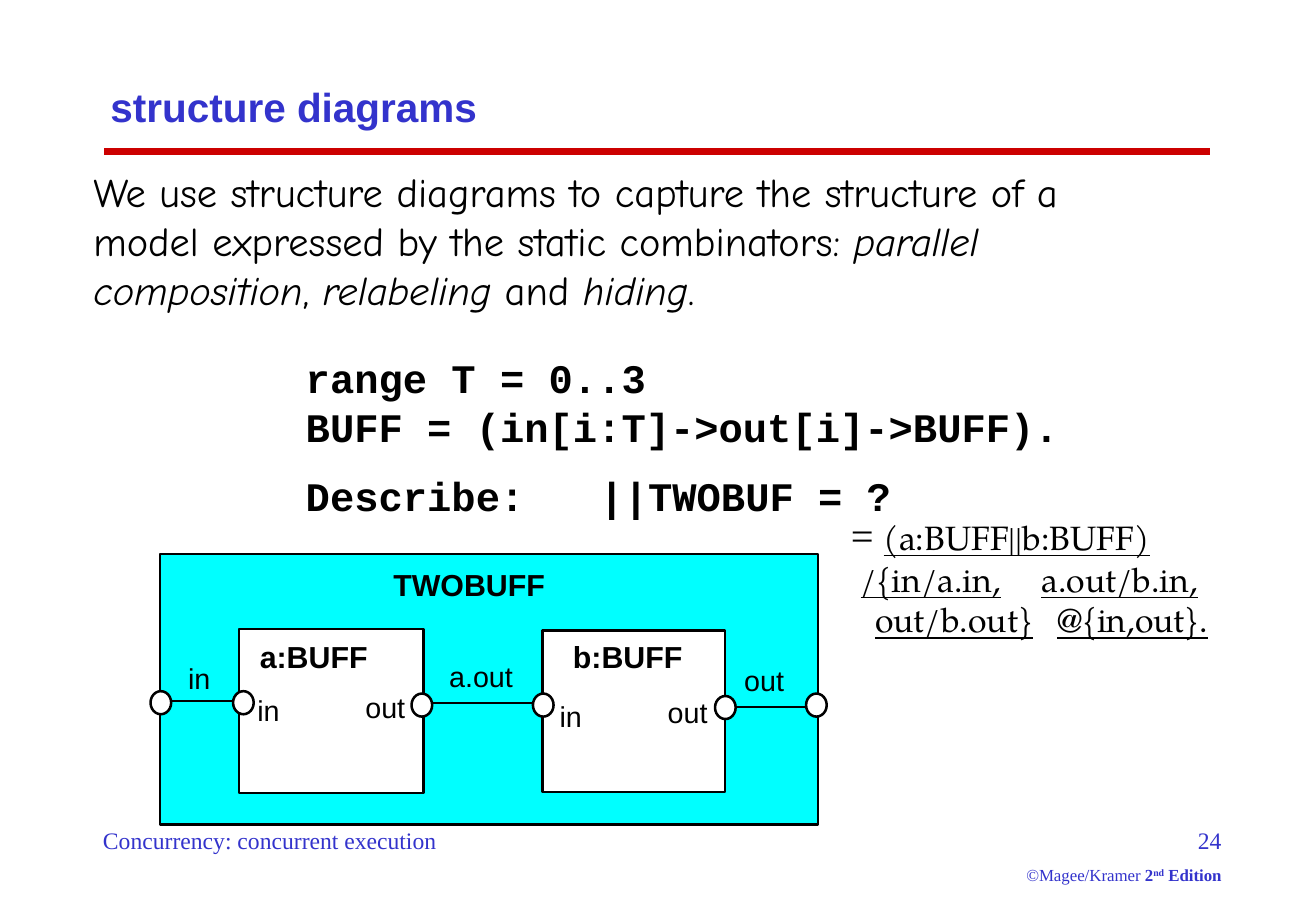
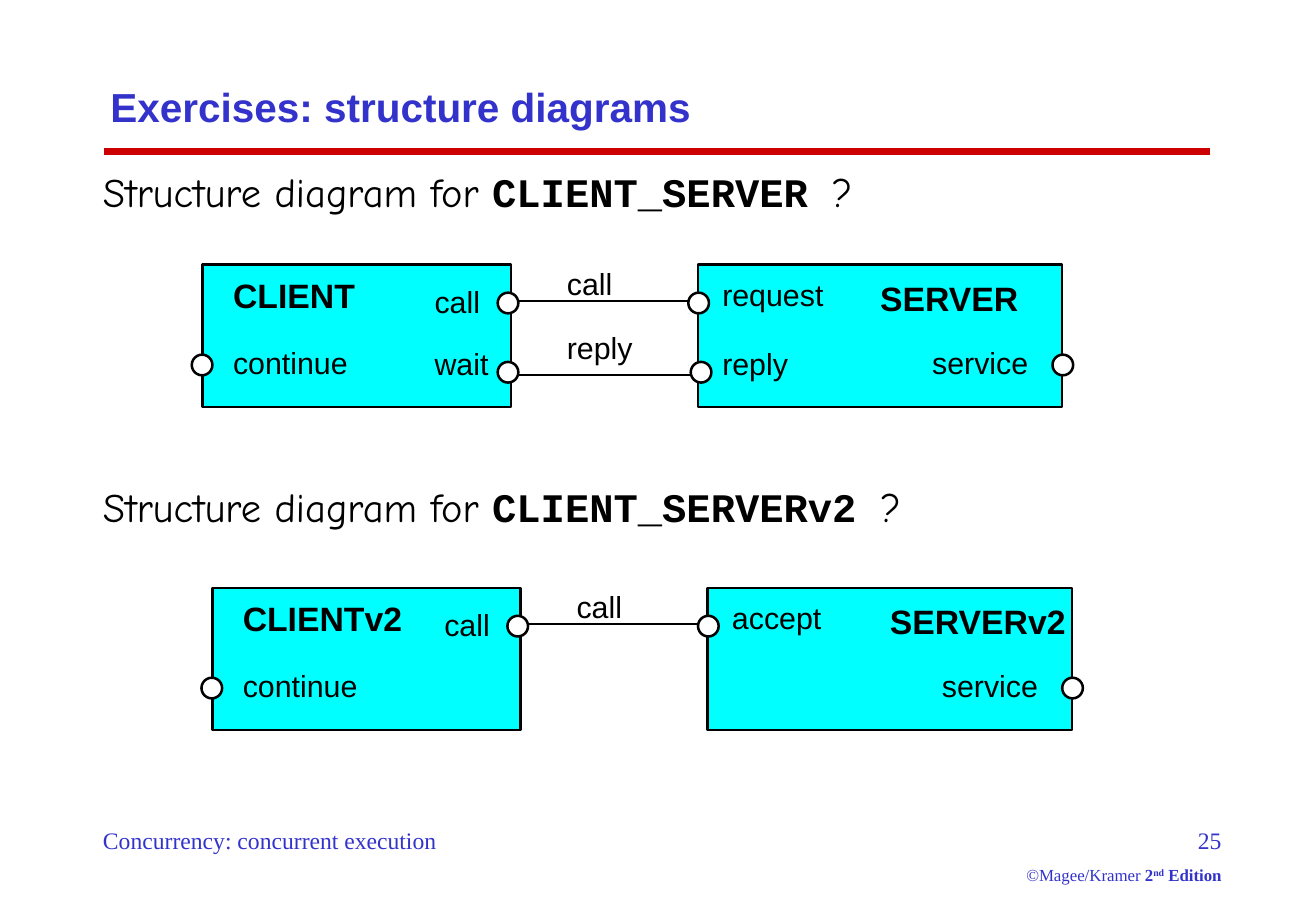
from pptx import Presentation
from pptx.dml.color import RGBColor
from pptx.enum.shapes import MSO_CONNECTOR as Conn, MSO_SHAPE as Kind
from pptx.enum.text import MSO_ANCHOR as Anchor, PP_ALIGN as Align
from pptx.oxml.ns import qn
from pptx.util import Inches, Pt
from lxml.etree import SubElement as Sub

BLUE, RED, CYAN, WHITE, BLACK = "3333CC", "CC0000", "00FFFF", "FFFFFF", "000000"

# Text styles
HEAD = dict(name="Arial", size=Pt(24), bold=True, color=BLUE)
BODY = dict(name="Comic Neue", size=Pt(24))
SLANT = dict(BODY, italic=True)
CODE = dict(name="Courier New", size=Pt(24), bold=True)
FOOT = dict(name="Times New Roman", size=Pt(14), color=BLUE)
FINE = dict(FOOT, size=Pt(10))
BOLD = dict(FINE, bold=True)
EQUAL = dict(name="Times New Roman", size=Pt(24))
REPLY = dict(name="TeX Gyre Pagella", size=Pt(20), underline=True)
LABEL = dict(name="Arial", size=Pt(18))
SMALL = dict(LABEL, size=Pt(17))
NAME = dict(LABEL, bold=True)
LARGE = dict(NAME, size=Pt(20))


def rgb(code):
    return RGBColor.from_string(code)


def para(*runs, tabs=(), **form):
    return runs, tabs, form


class Deck:
    def __init__(self):
        self.prs = Presentation()
        self.prs.slide_width, self.prs.slide_height = Inches(10.84), Inches(7.5)
        self.slide = None

    def page(self, title, num):
        """Start a slide with its title, rule and footer."""
        self.slide = self.prs.slides.add_slide(self.prs.slide_layouts[5])
        head = self.slide.shapes.title
        spots = dict(left=0.81, top=0.5, width=9.27, height=0.75)
        for key, val in spots.items():
            setattr(head, key, Inches(val))
        self.fill(head.text_frame, [para((title, HEAD), alignment=Align.LEFT)],
                  anchor=Anchor.MIDDLE)
        self.line(0.86, 1.25, 9.97, 1.25, RED, 4)
        self.text(0.75, 6.75, 3.42, 0.34,
                  [para(("Concurrency: concurrent execution", FOOT))])
        self.text(8.25, 6.75, 1.91, 0.59, [
            para((str(num), FOOT), alignment=Align.RIGHT),
            para(("©Magee/Kramer ", FINE), ("2", BOLD),
                 ("nd", dict(BOLD, raised=True)), (" Edition", BOLD),
                 alignment=Align.RIGHT, space_before=Pt(6.2))])

    def fill(self, frame, paras, pad=(0.1, 0.05), anchor=Anchor.TOP):
        frame.word_wrap = True
        frame.vertical_anchor = anchor
        for side, gap in zip(("left", "top", "right", "bottom"), pad * 2):
            setattr(frame, "margin_" + side, Inches(gap))
        for i, (runs, tabs, form) in enumerate(paras):
            par = frame.add_paragraph() if i else frame.paragraphs[0]
            if tabs:
                stops = Sub(par._p.get_or_add_pPr(), qn("a:tabLst"))
                for pos in tabs:
                    Sub(stops, qn("a:tab"), pos=str(Inches(pos)), algn="l")
            for key, val in form.items():
                setattr(par, key, val)
            for words, style in runs:
                self.run(par, words, style)

    def run(self, par, words, style):
        style = dict(style)
        run = par.add_run()
        run.text = words
        run.font.color.rgb = rgb(style.pop("color", BLACK))
        if style.pop("raised", False):
            run._r.get_or_add_rPr().set("baseline", "30000")
        for key, val in style.items():
            setattr(run.font, key, val)

    def text(self, x, y, w, h, paras, **form):
        box = self.slide.shapes.add_textbox(*map(Inches, (x, y, w, h)))
        self.fill(box.text_frame, paras, **form)

    def label(self, x, y, words, style=LABEL, w=1.7, align=Align.LEFT):
        self.text(x, y, w, 0.3, [para((words, style), alignment=align)], pad=(0, 0))

    def shape(self, x, y, w, h, fill=CYAN, kind=Kind.RECTANGLE, width=1.5):
        item = self.slide.shapes.add_shape(kind, *map(Inches, (x, y, w, h)))
        item.shadow.inherit = False
        item.fill.solid()
        item.fill.fore_color.rgb = rgb(fill)
        item.line.color.rgb = rgb(BLACK)
        item.line.width = Pt(width)

    def port(self, x, y, h=0.17):
        self.shape(x, y, 0.17, h, WHITE, Kind.OVAL)

    def line(self, x1, y1, x2, y2, color=BLACK, width=1):
        item = self.slide.shapes.add_connector(
            Conn.STRAIGHT, *map(Inches, (x1, y1, x2, y2)))
        item.line.color.rgb = rgb(color)
        item.line.width = Pt(width)
        Sub(item._element.spPr, qn("a:effectLst"))


def buffers(deck):
    """Two buffers joined inside TWOBUFF."""
    deck.shape(1.32, 4.56, 5.42, 2.23, width=1.4)
    deck.label(3.24, 4.66, "TWOBUFF", NAME)
    for x, y, w, h, tx, name in ((1.97, 5.18, 1.52, 1.35, 2.14, "a:BUFF"),
                                 (4.47, 5.19, 1.5, 1.33, 4.72, "b:BUFF")):
        deck.shape(x, y, w, h, WHITE, width=1.4)
        deck.label(tx, 5.25, name, NAME)
    for x1, x2, y in ((1.38, 1.93, 5.77), (3.56, 4.38, 5.79), (6.07, 6.63, 5.82)):
        deck.line(x1, y, x2, y, width=1.4)
    for x, y in ((1.24, 5.69), (1.92, 5.69), (3.39, 5.71),
                 (4.39, 5.71), (5.89, 5.73), (6.64, 5.71)):
        deck.port(x, y, 0.19)
    for x, y, words in ((1.55, 5.44, "in"), (2.12, 5.7, "in"), (3.01, 5.68, "out"),
                        (3.7, 5.42, "a.out"), (4.61, 5.75, "in"),
                        (5.5, 5.72, "out"), (6.13, 5.46, "out")):
        deck.label(x, y, words, SMALL)


def pair(deck, x, y, client, server, entry, wait=False):
    """A client and a server, the client box starting at x, y."""
    mid = x + 4.08
    deck.shape(x, y, 2.54, 1.17)
    deck.shape(mid, y, 3, 1.17)
    deck.line(x + 2.6, y + 0.3, mid - 0.06, y + 0.3)
    if wait:
        deck.line(x + 2.6, y + 0.91, mid - 0.06, y + 0.91)
        deck.port(x + 2.43, y + 0.8)
        deck.port(mid - 0.06, y + 0.8)
        deck.label(x + 1.91, y + 0.66, "wait")
        deck.label(x + 3, y + 0.53, "reply")
        deck.label(mid + 0.2, y + 0.66, "reply")
    for px, py in ((x - 0.09, 0.74), (x + 2.43, 0.23),
                   (mid - 0.08, 0.23), (mid + 2.92, 0.74)):
        deck.port(px, y + py)
    deck.label(x + 0.25, y + 0.08, client, LARGE)
    deck.label(x + 1.91, y + 0.15, "call")
    deck.label(x + 0.25, y + 0.65, "continue")
    deck.label(x + 3, y, "call")
    deck.label(mid + 0.2, y + 0.09, entry)
    deck.label(mid + 1.5, y + 0.11, server, LARGE)
    deck.label(mid + 1.5, y + 0.65, "service", w=1.22, align=Align.RIGHT)


def main():
    deck = Deck()

    # Structure diagrams
    deck.page("structure diagrams", 24)
    deck.text(0.67, 1.33, 8.58, 1.3, [para(
        ("We use structure diagrams to capture the structure of a model "
         "expressed by the static combinators: ", BODY),
        ("parallel composition", SLANT), (", ", BODY), ("relabeling", SLANT),
        (" and ", BODY), ("hiding", SLANT), (".", BODY))])
    deck.text(2.42, 2.86, 7.42, 1.47, [
        para(("range T = 0..3", CODE)),
        para(("BUFF = (in[i:T]->out[i]->BUFF).", CODE), space_after=Pt(12)),
        para(("Describe:\t||TWOBUF = ?", CODE), tabs=[2.42])])
    buffers(deck)
    deck.text(6.91, 4.15, 3.28, 1.17, [
        para(("= ", EQUAL), ("(a:BUFF||b:BUFF)", REPLY)),
        para(("\t/{in/a.in,\ta.out/b.in,", REPLY), tabs=[0.08, 1.57]),
        para(("\tout/b.out}\t@{in,out}.", REPLY), tabs=[0.2, 1.7])])

    # Exercises
    deck.page("Exercises: structure diagrams", 25)
    for y, name in ((1.33, "CLIENT_SERVER "), (3.92, "CLIENT_SERVERv2 ")):
        deck.text(0.75, y, 9.25, 0.5, [para(
            ("Structure diagram for ", BODY), (name, CODE), ("?", BODY))])
    pair(deck, 1.67, 2.18, "CLIENT", "SERVER", "request", wait=True)
    pair(deck, 1.75, 4.84, "CLIENTv2", "SERVERv2", "accept")

    deck.prs.save("out.pptx")


if __name__ == "__main__":
    main()
